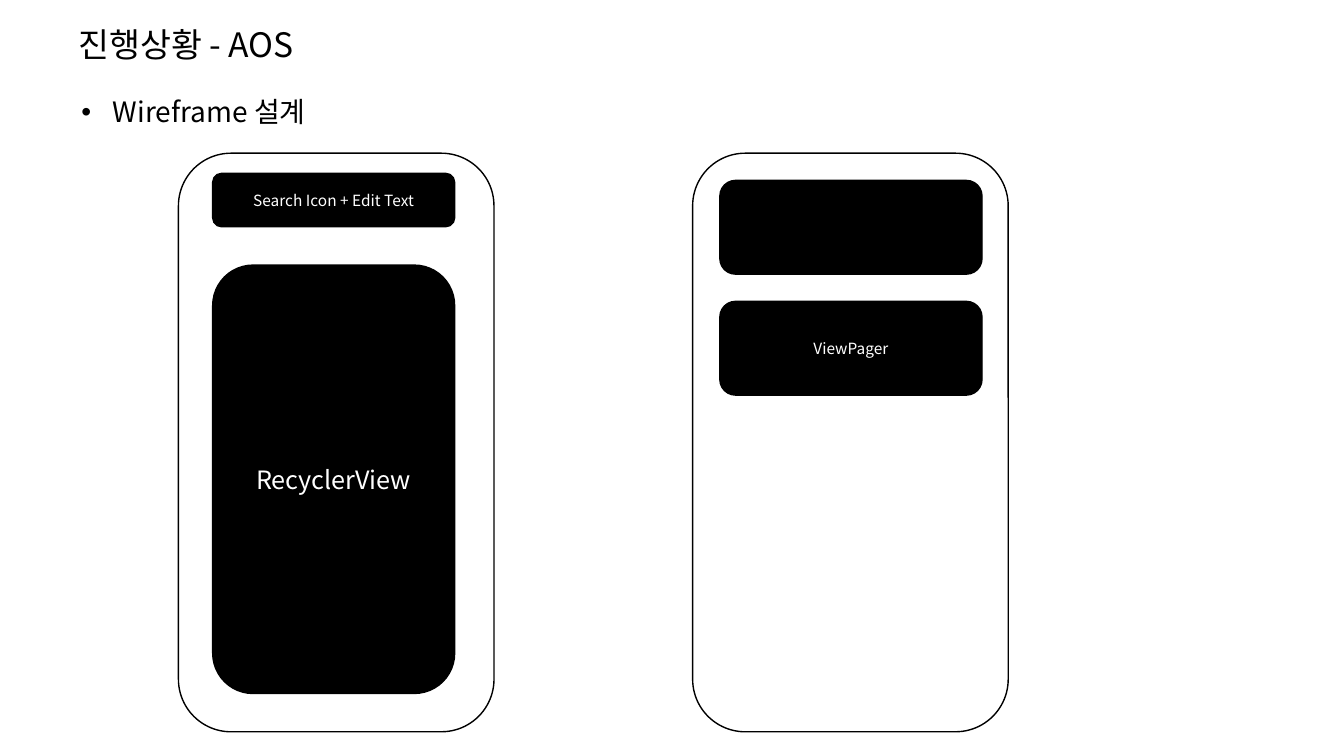
from lxml import etree
from pptx import Presentation
from pptx.dml.color import RGBColor
from pptx.enum.shapes import MSO_SHAPE
from pptx.enum.text import MSO_ANCHOR, PP_ALIGN
from pptx.oxml.ns import qn
from pptx.util import Inches, Pt

ROUNDED = MSO_SHAPE.ROUNDED_RECTANGLE
TOP, MIDDLE = MSO_ANCHOR.TOP, MSO_ANCHOR.MIDDLE
LEFT, CENTER = PP_ALIGN.LEFT, PP_ALIGN.CENTER
COLORS = {"ink": "000000", "paper": "FFFFFF"}


class WireframeSlide:
    """Holds the shared style and the slide being drawn."""

    font_name = "Noto Sans CJK KR"

    def __init__(self, deck):
        self.page = deck.slides.add_slide(deck.slide_layouts[6])

    def color(self, name):
        return RGBColor.from_string(COLORS[name])

    def add_text(self, frame, text, size, color, align):
        para = frame.paragraphs[0]
        para.alignment = align
        span = para.add_run()
        span.text = text
        span.font.color.rgb = self.color(color)
        for key, value in {"size": Pt(size), "name": self.font_name}.items():
            setattr(span.font, key, value)
        # Korean letters take their typeface from a:ea
        east_asian = etree.SubElement(span.font._element, qn("a:ea"))
        east_asian.set("typeface", self.font_name)
        return para

    def panel(self, left, top, width, height, fill="ink", text="", size=11):
        box = self.page.shapes.add_shape(
            ROUNDED, Inches(left), Inches(top), Inches(width), Inches(height))
        box.shadow.inherit = False
        box.fill.solid()
        box.fill.fore_color.rgb = self.color(fill)
        box.line.color.rgb = self.color("ink")
        box.line.width = Pt(1)
        if text:
            box.text_frame.vertical_anchor = MIDDLE
            self.add_text(box.text_frame, text, size, "paper", CENTER)

    def phone(self, left):
        self.panel(left, 1.52, 3.13, 5.74, fill="paper")

    def label(self, left, top, width, height, text, size, bullet=False):
        box = self.page.shapes.add_textbox(
            Inches(left), Inches(top), Inches(width), Inches(height))
        layout = {"word_wrap": True, "vertical_anchor": TOP,
                  "margin_top": 0, "margin_bottom": 0}
        for key, value in layout.items():
            setattr(box.text_frame, key, value)
        para = self.add_text(box.text_frame, text, size, "ink", LEFT)
        if bullet:
            properties = para._p.get_or_add_pPr()
            indent = Inches(0.31)
            properties.set("marL", str(indent))
            properties.set("indent", str(-indent))
            etree.SubElement(properties, qn("a:buFont")).set("typeface", "Arial")
            etree.SubElement(properties, qn("a:buChar")).set("char", "•")


def main():
    deck = Presentation()
    deck.slide_width, deck.slide_height = Inches(13.33), Inches(7.5)
    slide = WireframeSlide(deck)

    # Search screen
    slide.phone(1.77)
    slide.panel(2.11, 1.72, 2.4, 0.53, text="Search Icon + Edit Text")
    slide.panel(2.11, 2.63, 2.4, 4.25, text="RecyclerView", size=18)

    # Pager screen
    slide.phone(6.87)
    for row, text in enumerate(["", "ViewPager"]):
        slide.panel(7.14, 1.79 + row * 1.2, 2.6, 0.93, text=text)

    # Headings
    slide.label(0.68, 0.24, 4.26, 0.5, "진행상황 - AOS", 24)
    slide.label(0.71, 0.94, 6.94, 0.44, "Wireframe 설계", 20, bullet=True)

    deck.save("out.pptx")


if __name__ == "__main__":
    main()
